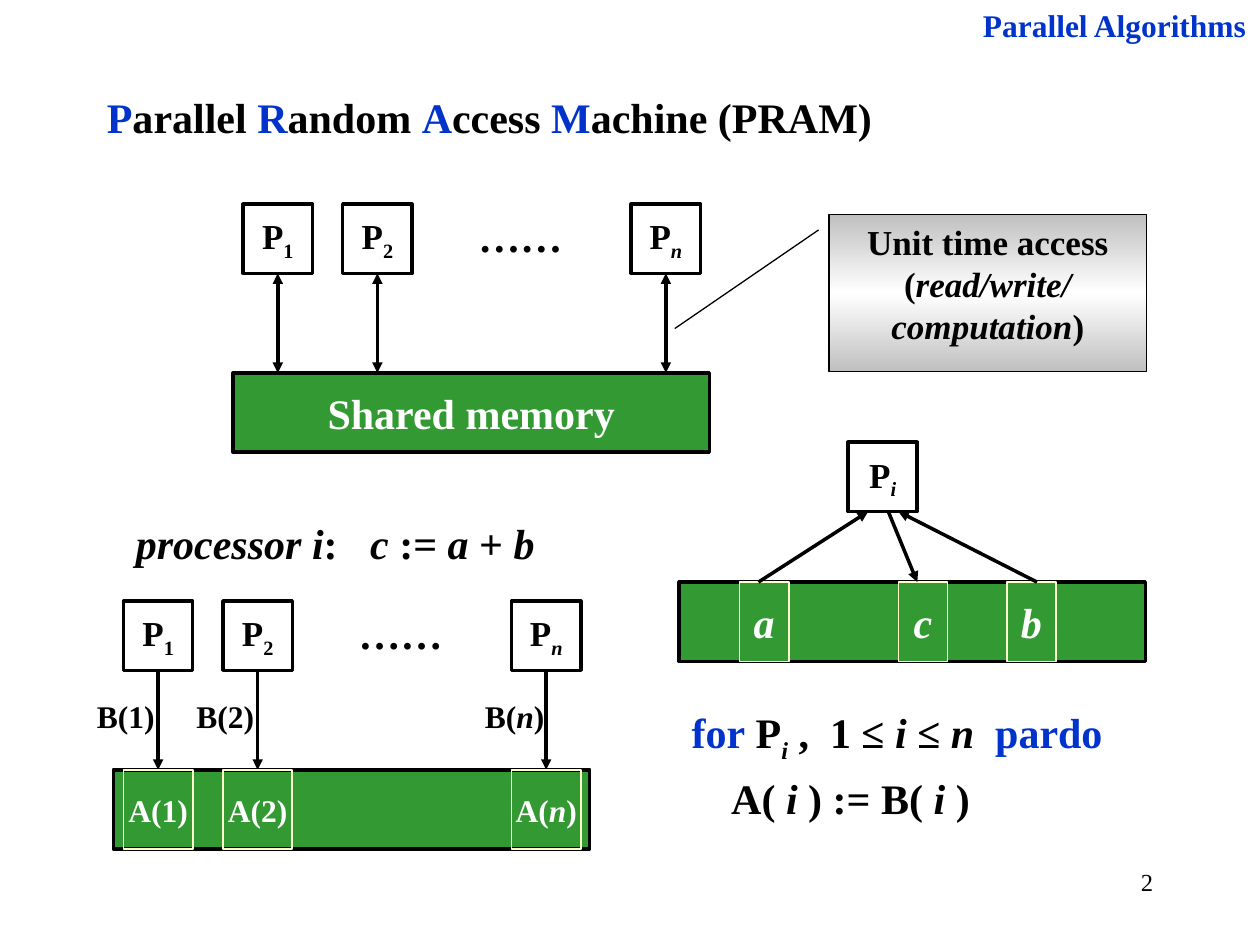
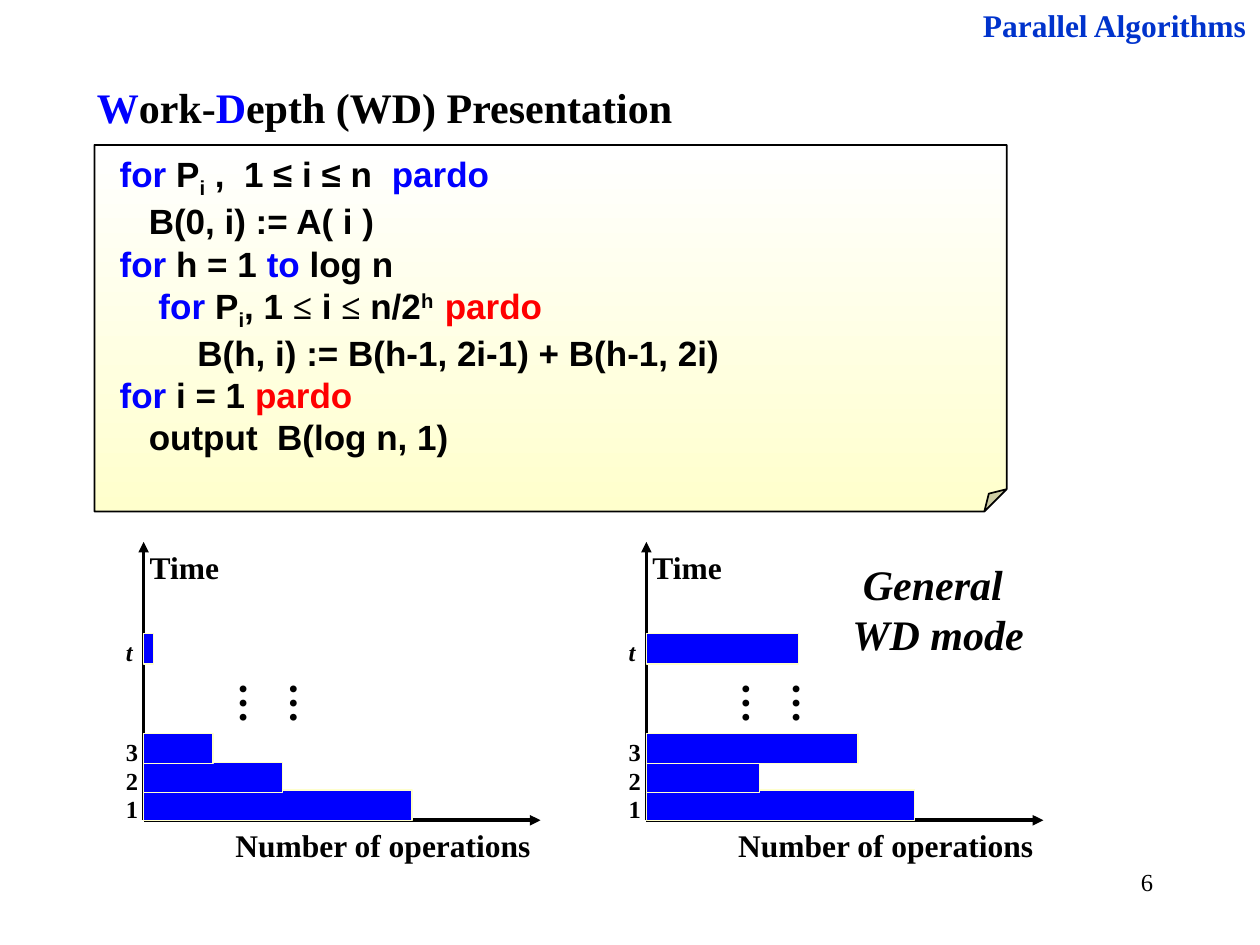
import copy

import pptx
import pptx.dml.color
import pptx.enum.shapes
import pptx.enum.text
import pptx.oxml
import pptx.oxml.ns
import pptx.util

Inches = pptx.util.Inches
Pt = pptx.util.Pt
SHAPES = pptx.enum.shapes.MSO_SHAPE
ALIGN = pptx.enum.text.PP_ALIGN
ANCHOR = pptx.enum.text.MSO_ANCHOR

# Shared colours
BLACK, WHITE, SILVER = "000000", "FFFFFF", "C0C0C0"
ROYAL, BRIGHT, RED = "0033CC", "0000FF", "FF0000"
GREEN, CREAM = "339933", "FFFFCC"

# Run formats
SERIF, SANS = {"name": "Times New Roman"}, {"name": "Arial"}
ITALIC = {"italic": True}
SUBSCRIPT, SUPERSCRIPT = {"baseline": -25000}, {"baseline": 30000}
KEYWORD, CODE_KEYWORD, PARALLEL = {"color": ROYAL}, {"color": BRIGHT}, {"color": RED}

# Processor labels, with offsets of their columns from the first one
PROCESSORS = [(0, "1", {}), (0.79, "2", {}), (3.08, "n", ITALIC)]
PROCESSOR_SIZE, MEMORY_HEIGHT = 0.55, 0.63


def rgb(colour):
    return pptx.dml.color.RGBColor.from_string(colour)


def add_element(parent, tag, **attributes):
    """Append an empty drawing element to its parent."""
    element = pptx.oxml.parse_xml(f'<a:{tag} {pptx.oxml.ns.nsdecls("a")}/>')
    for name, value in attributes.items():
        element.set(name, str(value))
    parent.append(element)
    return element


def write_text(shape, paragraphs, size, align=ALIGN.LEFT, anchor=ANCHOR.TOP, wrap=True,
               spacing=0, tab=None, **base):
    """Fill a shape; each paragraph is a list of strings or (string, format, ...)."""
    frame = shape.text_frame
    frame.word_wrap, frame.vertical_anchor = wrap, anchor
    for index, runs in enumerate(paragraphs):
        paragraph = frame.paragraphs[0] if index == 0 else frame.add_paragraph()
        paragraph.alignment = align
        if index and spacing:
            paragraph.space_before = Pt(spacing)
        if tab:
            tabs = add_element(paragraph._p.get_or_add_pPr(), "tabLst")
            add_element(tabs, "tab", pos=Inches(tab), algn="l")
        for item in runs:
            text, *formats = (item,) if isinstance(item, str) else item
            values = {"bold": True, "size": Pt(size), "color": BLACK, **SERIF, **base}
            for extra in formats:
                values.update(extra)
            run = paragraph.add_run()
            run.text = text
            run.font.color.rgb = rgb(values.pop("color"))
            baseline = values.pop("baseline", None)
            if baseline:
                run._r.get_or_add_rPr().set("baseline", str(baseline))
            for name, value in values.items():
                setattr(run.font, name, value)


def add_text(slide, box, paragraphs, size, **options):
    shape = slide.shapes.add_textbox(*map(Inches, box))
    write_text(shape, paragraphs, size, **options)
    return shape


def add_box(slide, box, fill=None, line=BLACK, width=2, kind=SHAPES.RECTANGLE):
    """Draw a preset shape; a list of colours as fill makes a vertical gradient."""
    shape = slide.shapes.add_shape(kind, *map(Inches, box))
    shape.shadow.inherit = False
    shape.line.color.rgb, shape.line.width = rgb(line), Pt(width)
    if fill is None:
        shape.fill.background()
    elif isinstance(fill, str):
        shape.fill.solid()
        shape.fill.fore_color.rgb = rgb(fill)
    else:
        shape.fill.gradient()
        shape.fill.gradient_angle = 270
        stops = shape._element.spPr.find(".//" + pptx.oxml.ns.qn("a:gsLst"))
        for _ in fill[2:]:
            stops.append(copy.deepcopy(stops[-1]))
        for index, (stop, colour) in enumerate(zip(shape.fill.gradient_stops, fill)):
            stop.position = index / (len(fill) - 1)
            stop.color.rgb = rgb(colour)
    return shape


def set_guides(shape, **guides):
    """Set the adjustment values of a preset shape by guide name."""
    geometry = shape._element.spPr.find(pptx.oxml.ns.qn("a:prstGeom"))
    for child in list(geometry):
        geometry.remove(child)
    values = add_element(geometry, "avLst")
    for name, value in guides.items():
        add_element(values, "gd", name=name, fmla=f"val {value}")


def add_label_box(slide, box, runs, size, color=BLACK, **look):
    shape = add_box(slide, box, **look)
    write_text(shape, [runs], size, align=ALIGN.CENTER, anchor=ANCHOR.MIDDLE,
               wrap=False, color=color)
    return shape


def add_arrow(slide, start, end, both_ends=False):
    connector = slide.shapes.add_connector(
        pptx.enum.shapes.MSO_CONNECTOR.STRAIGHT, *map(Inches, (*start, *end)))
    connector.line.color.rgb, connector.line.width = rgb(BLACK), Pt(2)
    line = connector.line._get_or_add_ln()
    for tag in ("headEnd", "tailEnd") if both_ends else ("tailEnd",):
        add_element(line, tag, type="triangle")
    add_element(connector._element.spPr, "effectLst")
    return connector


def add_base_slide(presentation, number, title_box, title):
    """Start a slide with the running header, page number and title."""
    slide = presentation.slides.add_slide(presentation.slide_layouts[6])
    add_text(slide, (7.17, 6.83, 2.08, 0.5), [[str(number)]], 14,
             align=ALIGN.RIGHT, bold=False)
    add_text(slide, (7.36, 0, 2.63, 0.4), [["Parallel Algorithms"]], 18,
             align=ALIGN.RIGHT, color=ROYAL)
    add_text(slide, title_box, [title], 24)
    return slide


def add_processor(slide, left, top, index, style):
    return add_label_box(slide, (left, top, PROCESSOR_SIZE, PROCESSOR_SIZE),
                         ["P", (index, style, SUBSCRIPT)], 20)


def add_machine(slide, left, top, memory_label=None):
    """Draw processors over memory: one shared block, or a cell per processor."""
    memory_top = top + 1.34
    memory_box = (left - 0.08, memory_top, 3.78, MEMORY_HEIGHT)
    add_label_box(slide, memory_box, [memory_label] if memory_label else [], 24,
                  color=WHITE, fill=GREEN)
    add_text(slide, (left + 1.57, top, 1.26, 0.5), [["……"]], 24, align=ALIGN.CENTER)
    for offset, index, style in PROCESSORS:
        x = left + offset
        middle = x + PROCESSOR_SIZE / 2
        processor = add_processor(slide, x, top, index, style)
        arrow = add_arrow(slide, (middle, top + PROCESSOR_SIZE), (middle, memory_top),
                          both_ends=bool(memory_label))
        arrow.begin_connect(processor, 2)
        if not memory_label:
            cell = add_label_box(slide, (x, memory_top, PROCESSOR_SIZE, MEMORY_HEIGHT),
                                 ["A(", (index, style), ")"], 18, color=WHITE,
                                 line=CREAM, width=1)
            arrow.end_connect(cell, 0)
            add_text(slide, (x - 0.31, top + 0.71, 0.71, 0.4),
                     [["B(", (index, style), ")"]], 18)


def add_memory_access(slide, left, top):
    """Draw one processor that reads a and b and writes c."""
    memory_top, processor_bottom = top + 1.11, top + PROCESSOR_SIZE
    add_processor(slide, left + 1.34, top, "i", ITALIC)
    add_box(slide, (left, memory_top, 3.7, MEMORY_HEIGHT), fill=GREEN)
    # Variable, cell offset, arrow end at the cell, arrow end at the processor, is read
    for name, cell, low, high, is_read in [("a", 0.48, 0.63, 1.5, True),
                                           ("b", 2.6, 2.84, 1.74, True),
                                           ("c", 1.74, 1.89, 1.66, False)]:
        add_label_box(slide, (left + cell, memory_top, 0.39, MEMORY_HEIGHT),
                      [(name, ITALIC)], 24, color=WHITE, fill=GREEN, line=CREAM, width=1)
        ends = [(left + low, memory_top), (left + high, processor_bottom)]
        add_arrow(slide, *(ends if is_read else reversed(ends)))


def add_callout(slide, box):
    callout = add_box(slide, box, fill=[SILVER, WHITE, SILVER], width=0.75,
                      kind=SHAPES.LINE_CALLOUT_1)
    set_guides(callout, adj1=10000, adj2=-3300, adj3=72600, adj4=-48600)
    write_text(callout, [["Unit time access"], ["(", ("read/write/", ITALIC)],
                         [("computation", ITALIC), ")"]], 20, align=ALIGN.CENTER)


def add_code_note(slide, box):
    note = add_box(slide, box, fill=[WHITE, CREAM], width=1, kind=SHAPES.FOLDED_CORNER)
    set_guides(note, adj=6100)
    frame = note.text_frame
    frame.margin_left, frame.margin_right = Inches(0.2), Inches(0.04)
    frame.margin_top, frame.margin_bottom = Inches(0.05), Inches(0.24)
    write_text(note, [
        [("for", CODE_KEYWORD), " P", ("i", SUBSCRIPT), " ,  1 ≤ i ≤ n  ",
         ("pardo", CODE_KEYWORD)],
        ["   B(0, i) := A( i )"],
        [("for", CODE_KEYWORD), " h = 1 ", ("to", CODE_KEYWORD), " log n"],
        [("    for ", CODE_KEYWORD), "P", ("i", SUBSCRIPT), ", 1 ", ("≤", SERIF), " i ",
         ("≤", SERIF), " n/2", ("h  ", SUPERSCRIPT), ("pardo", PARALLEL)],
        ["        B(h, i) := B(h-1, 2i-1) + B(h-1, 2i)"],
        [("for ", CODE_KEYWORD), "i = 1 ", ("pardo", PARALLEL)],
        ["   output  B(log n, 1)"],
    ], 20, anchor=ANCHOR.MIDDLE, **SANS)


def add_operations_plot(slide, left, bottom, widths):
    """Draw time against operations, with bars for steps 1, 2, 3 and t."""
    origin = (left, bottom)
    add_arrow(slide, origin, (left, bottom - 2.21))
    add_arrow(slide, origin, (left + 3.15, bottom))
    add_text(slide, (left + 0.63, bottom, 2.55, 0.4), [["Number of operations"]], 18,
             wrap=False)
    add_text(slide, (left - 0.05, bottom - 2.21, 0.76, 0.4), [["Time"]], 18, wrap=False)
    steps = [("1", 0.24, {}), ("2", 0.46, {}), ("3", 0.69, {}), ("t", 1.48, ITALIC)]
    for (step, rise, style), width in zip(steps, widths):
        top = bottom - rise
        add_box(slide, (left, top, width, 0.24), fill=BRIGHT, line=CREAM, width=0.75)
        add_text(slide, (left - 0.24, top - 0.02, 0.31, 0.33), [[(step, style)]], 14)
    dots = add_text(slide, (left + 0.55, bottom - 1.19, 1, 0.47), [["……"]], 24)
    dots.text_frame._txBody.bodyPr.set("vert", "eaVert")


def build_pram_slide(presentation):
    slide = add_base_slide(presentation, 2, (0.75, 0.68, 7.64, 0.5), [
        ("P", KEYWORD), "arallel ", ("R", KEYWORD), "andom ", ("A", KEYWORD), "ccess ",
        ("M", KEYWORD), "achine (PRAM)"])
    add_machine(slide, 1.93, 1.62, "Shared memory")
    add_callout(slide, (6.58, 1.7, 2.52, 1.25))
    add_text(slide, (0.98, 4.06, 3.78, 0.5), [[
        ("processor i", ITALIC), ":\t", ("c ", ITALIC), ":=", (" a ", ITALIC), "+",
        (" b", ITALIC)]], 24, tab=1.86)
    add_memory_access(slide, 5.39, 3.51)
    add_text(slide, (5.39, 5.56, 3.78, 0.98), [
        [("for", KEYWORD), " P", ("i", ITALIC, SUBSCRIPT), " ,  1 ≤ ", ("i", ITALIC),
         " ≤ ", ("n  ", ITALIC), ("pardo", KEYWORD)],
        ["    A( ", ("i ", ITALIC), ") := B( ", ("i", ITALIC), " )"],
    ], 24, spacing=5)
    add_machine(slide, 0.98, 4.77)


def build_work_depth_slide(presentation):
    slide = add_base_slide(presentation, 6, (0.67, 0.6, 5.2, 0.5), [
        ("W", CODE_KEYWORD), "ork-", ("D", CODE_KEYWORD), "epth (WD) Presentation"])
    add_code_note(slide, (0.75, 1.15, 7.24, 2.91))
    add_operations_plot(slide, 1.14, 6.51, (2.13, 1.1, 0.55, 0.08))
    add_operations_plot(slide, 5.13, 6.51, (2.13, 0.9, 1.68, 1.21))
    add_text(slide, (6.42, 4.38, 2.05, 0.9), [["General "], ["WD mode"]], 24,
             align=ALIGN.CENTER, **ITALIC)


def main():
    presentation = pptx.Presentation()
    presentation.slide_width, presentation.slide_height = Inches(10), Inches(7.5)
    build_pram_slide(presentation)
    build_work_depth_slide(presentation)
    presentation.save("out.pptx")


if __name__ == "__main__":
    main()
